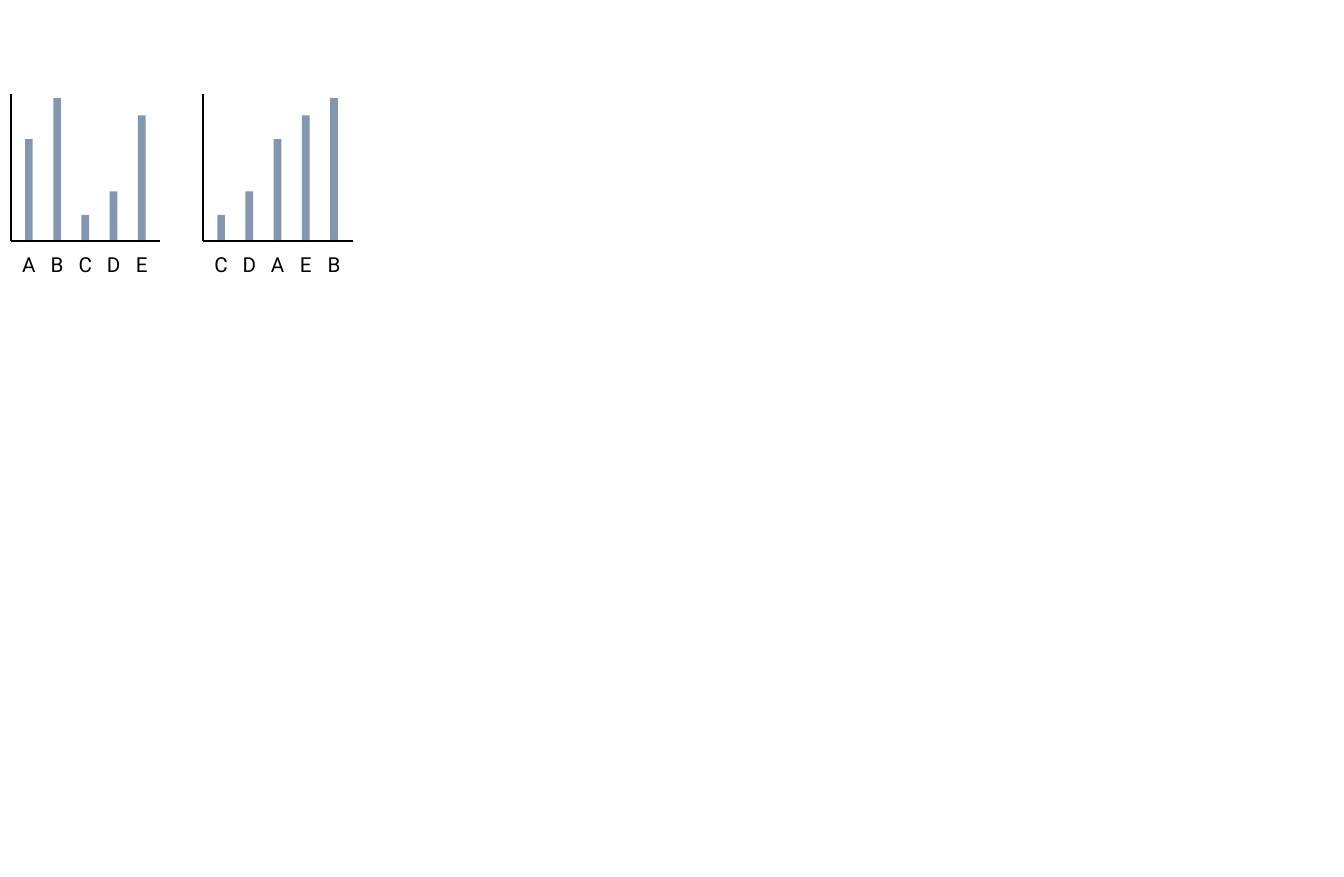
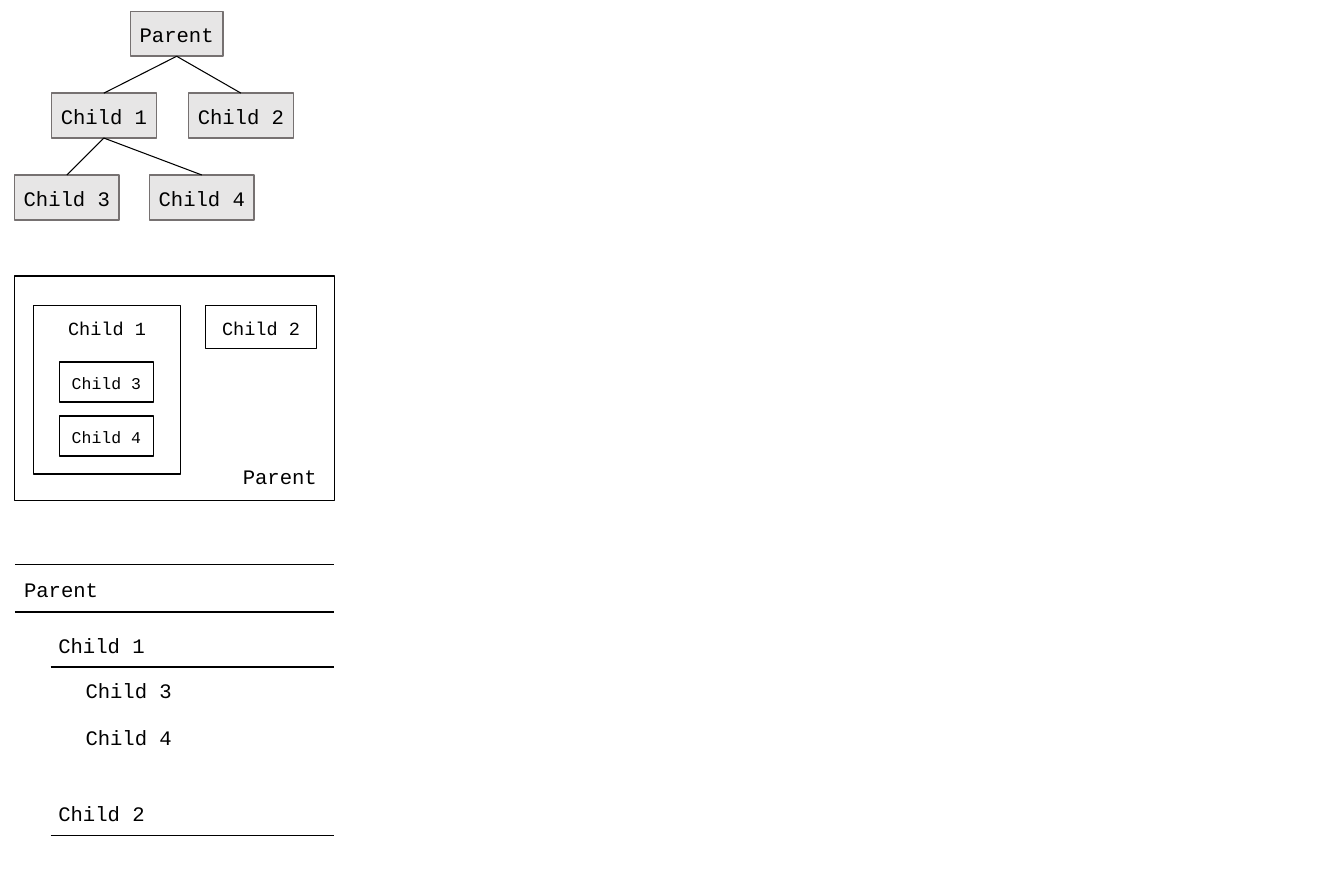
"""Two slides: unsorted and sorted bars, and three views of one hierarchy."""
import dataclasses

import pptx
import pptx.dml.color
import pptx.enum.shapes
import pptx.enum.text
import pptx.oxml
import pptx.oxml.ns
import pptx.util

Pt = pptx.util.Pt
RGBColor = pptx.dml.color.RGBColor
Align = pptx.enum.text.PP_ALIGN
Anchor = pptx.enum.text.MSO_ANCHOR


@dataclasses.dataclass(frozen=True)
class Theme:
    """Colours, fonts and sizes that the slides share."""
    ink: RGBColor = RGBColor(0x00, 0x00, 0x00)
    bar: RGBColor = RGBColor(0x84, 0x97, 0xB0)
    node: RGBColor = RGBColor(0xE7, 0xE6, 0xE6)
    node_edge: RGBColor = RGBColor(0x76, 0x71, 0x71)
    bar_font: str = "Roboto"
    code_font: str = "Courier New"
    text: float = 10
    small: float = 9
    tiny: float = 8
    axis: float = 1
    rule: float = 0.75
    link: float = 0.5


THEME = Theme()

# Bar heights by category
BARS = {"A": 49.5, "B": 69.5, "C": 12.7, "D": 24.1, "E": 61}
AXIS_TOP, BASELINE, AXIS_LENGTH = 45.8, 117, 72.6
FIRST_BAR, BAR_STEP, BAR_WIDTH = 8.7, 13.7, 3.7
BAR_LABEL_TOP, BAR_LABEL_WIDTH, BAR_LABEL_HEIGHT = 118.9, 20.8, 19.4

LEFT, RIGHT = 7.2, 162.3
LABEL_HEIGHT = 21.8
TREE_TOP, TREE_STEP = 5.5, 39.7
# name, parent, level, left
TREE = [
    ("Parent", None, 0, 63.3),
    ("Child 1", "Parent", 1, 25),
    ("Child 2", "Parent", 1, 91.5),
    ("Child 3", "Child 1", 2, 7),
    ("Child 4", "Child 1", 2, 72.5),
]
# name, left, top, width, height, type size
NESTED = [
    ("Child 2", 99.7, 148.3, 54, 20.9, THEME.small),
    ("Child 1", 16.2, 148.3, 71.4, 81.6, THEME.small),
    ("Child 3", 28.8, 175.6, 45.8, 19.4, THEME.tiny),
    ("Child 4", 28.8, 201.8, 45.8, 19.4, THEME.tiny),
]
# name, left, top
OUTLINE = [
    ("Parent", LEFT, 274.4),
    ("Child 1", 23.8, 301.6),
    ("Child 3", 37, 323.4),
    ("Child 4", 37, 346.2),
    ("Child 2", 23.8, 383.5),
]
# left, top
RULES = [(LEFT, 274), (LEFT, 296.9), (24.6, 323.6), (24.6, 405.4)]


def apply_format(target, values):
    """Set each named attribute of the target."""
    for name, value in values.items():
        setattr(target, name, value)


def label_width(text):
    """Return the width of a box that fits a monospaced label."""
    return 6 * len(text) + 8.9


def write_label(shape, text, size=THEME.text, align=Align.CENTER,
                font=THEME.code_font, **frame_format):
    """Write one line of text into a shape."""
    apply_format(shape.text_frame, {
        "word_wrap": False, "vertical_anchor": Anchor.TOP,
        "margin_left": Pt(4.4), "margin_right": Pt(4.4),
        "margin_top": Pt(5.3), "margin_bottom": Pt(4.4), **frame_format})
    para = shape.text_frame.paragraphs[0]
    para.alignment = align
    span = para.add_run()
    span.text = text
    apply_format(span.font, {"name": font, "size": Pt(size)})
    span.font.color.rgb = THEME.ink


def add_box(page, left, top, width, height, fill=None, edge=None):
    """Add a rectangle with the given fill and outline colours."""
    box = page.shapes.add_shape(pptx.enum.shapes.MSO_SHAPE.RECTANGLE,
                                *map(Pt, (left, top, width, height)))
    box.shadow.inherit = False
    if fill is None:
        box.fill.background()
    else:
        box.fill.solid()
        box.fill.fore_color.rgb = fill
    if edge is None:
        box.line.fill.background()
    else:
        box.line.width = Pt(THEME.rule)
        box.line.color.rgb = edge
    return box


def add_text(page, text, left, top, width, height, **label_format):
    """Add a text box with one label."""
    label = page.shapes.add_textbox(*map(Pt, (left, top, width, height)))
    write_label(label, text, **label_format)


def add_line(page, width, start=(0, 0), end=(0, 0)):
    """Add a straight line without a shadow."""
    line = page.shapes.add_connector(
        pptx.enum.shapes.MSO_CONNECTOR.STRAIGHT, *map(Pt, (*start, *end)))
    line.line.width = Pt(width)
    line.line.color.rgb = THEME.ink
    line._element.spPr.append(
        pptx.oxml.parse_xml(f'<a:effectLst {pptx.oxml.ns.nsdecls("a")}/>'))
    return line


def add_bars(page, bars, left):
    """Draw evenly spaced, labelled bars on a pair of axes."""
    for index, (name, height) in enumerate(bars):
        centre = left + FIRST_BAR + index * BAR_STEP
        add_box(page, centre - BAR_WIDTH / 2, BASELINE - height, BAR_WIDTH, height,
                fill=THEME.bar)
        add_text(page, name, centre - BAR_LABEL_WIDTH / 2, BAR_LABEL_TOP,
                 BAR_LABEL_WIDTH, BAR_LABEL_HEIGHT, font=THEME.bar_font,
                 margin_top=Pt(3.6), margin_bottom=Pt(3.6))
    origin = (left, BASELINE)
    add_line(page, THEME.axis, origin, (left + AXIS_LENGTH, BASELINE))
    add_line(page, THEME.axis, (left, AXIS_TOP), origin)


def add_tree(page):
    """Draw the hierarchy as linked nodes."""
    nodes = {}
    for name, _, level, left in TREE:
        nodes[name] = add_box(page, left, TREE_TOP + level * TREE_STEP, label_width(name),
                              LABEL_HEIGHT, THEME.node, THEME.node_edge)
        write_label(nodes[name], name)
    for name, parent, _, _ in TREE:
        if parent:
            link = add_line(page, THEME.link)
            link.begin_connect(nodes[parent], 2)
            link.end_connect(nodes[name], 0)


def add_nested_boxes(page):
    """Draw the hierarchy as boxes inside boxes."""
    panel = add_box(page, 7, 133.8, RIGHT - 7, 109, edge=THEME.ink)
    write_label(panel, "Parent", align=Align.RIGHT, vertical_anchor=Anchor.BOTTOM,
                word_wrap=True, margin_right=Pt(8.6), margin_bottom=Pt(5.6))
    for name, left, top, width, height, size in NESTED:
        write_label(add_box(page, left, top, width, height, edge=THEME.ink), name, size)


def add_outline(page):
    """Draw the hierarchy as indented, ruled text."""
    for name, left, top in OUTLINE:
        add_text(page, name, left, top, label_width(name), LABEL_HEIGHT)
    for left, top in RULES:
        add_line(page, THEME.rule, (left, top), (RIGHT, top))


def main():
    """Build and save the deck."""
    deck = pptx.Presentation()
    apply_format(deck, {"slide_width": Pt(652.3), "slide_height": Pt(425.5)})
    blank = deck.slide_layouts[6]

    bar_page = deck.slides.add_slide(blank)
    add_bars(bar_page, BARS.items(), left=5.3)
    add_bars(bar_page, sorted(BARS.items(), key=lambda bar: bar[1]), left=98.6)

    tree_page = deck.slides.add_slide(blank)
    add_tree(tree_page)
    add_nested_boxes(tree_page)
    add_outline(tree_page)

    deck.save("out.pptx")


main()
